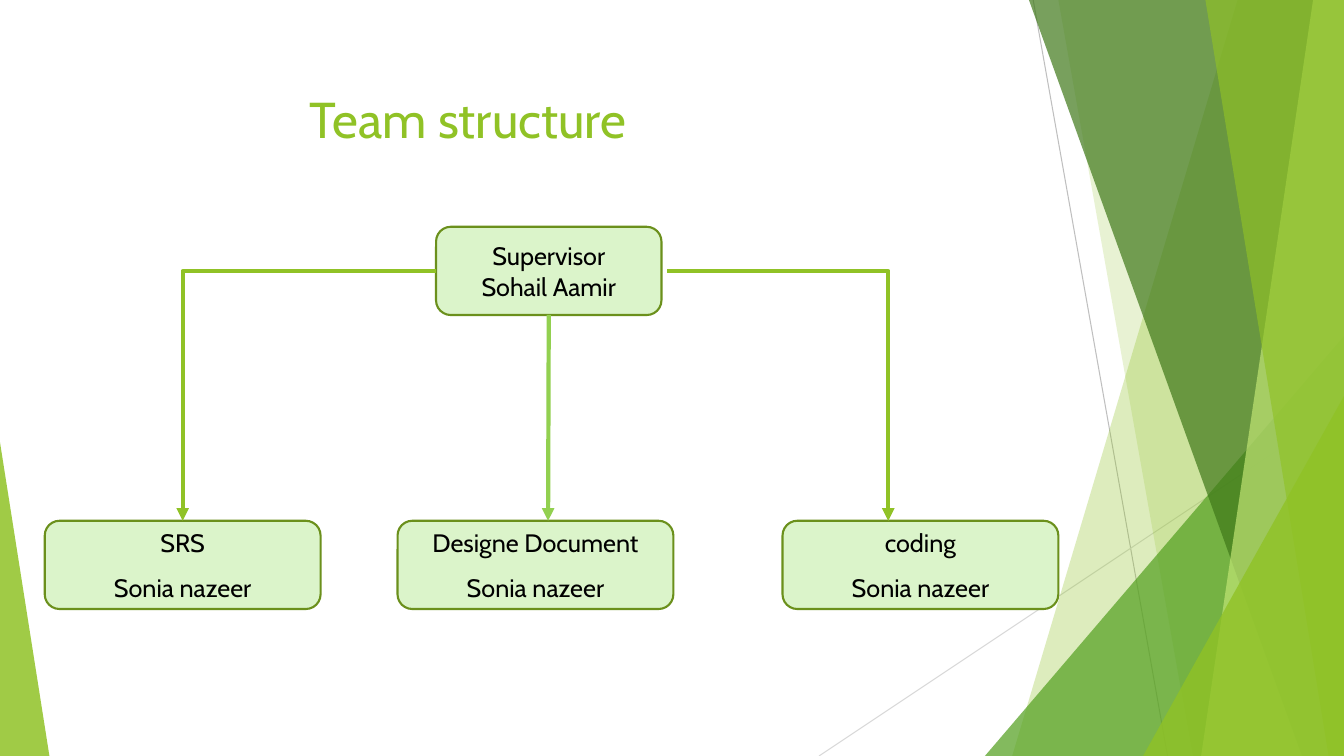
from dataclasses import dataclass

from lxml import etree
from pptx import Presentation
from pptx.dml.color import RGBColor
from pptx.enum import shapes, text
from pptx.oxml import ns
from pptx.util import Pt


@dataclass(frozen=True)
class Theme:
    font: str = "Cabin"
    title_size: float = 36
    label_size: float = 18
    lime: str = "90C226"
    green: str = "54A021"
    forest: str = "3F7819"
    pale_lime: str = "C0E474"
    bright: str = "92D050"
    box_fill: str = "DBF4CA"
    box_line: str = "6B901C"
    ink: str = "000000"
    ray: str = "BFBFBF"
    pale_ray: str = "D9D9D9"


@dataclass(frozen=True)
class Band:
    """Facet from the top edge to the bottom edge, closed at the right."""
    top_x: float
    bottom_x: float
    color: str
    opacity: int


@dataclass(frozen=True)
class Wedge:
    """Triangle standing on the bottom edge; apex is 0 (left) to 1 (right)."""
    left: float
    top: float
    width: float
    apex: float
    color: str
    opacity: int


@dataclass(frozen=True)
class Role:
    left: float
    top: float
    width: float
    lines: tuple[str, str]
    gap: float


@dataclass(frozen=True)
class Link:
    start: tuple[float, float]
    end: tuple[float, float]
    color: str
    weight: float
    arrow: bool = False
    bent: bool = False


THEME = Theme()
WIDTH, HEIGHT = 960, 540
BOX_HEIGHT = 63
ROLE_TOP, ROLE_WIDTH = 372, 197
LEAD_LEFT, LEAD_TOP, LEAD_WIDTH = 311.5, 162, 161
LEAD_MIDDLE = LEAD_TOP + BOX_HEIGHT / 2
LEAD_CENTER = LEAD_LEFT + LEAD_WIDTH / 2

RAYS = [
    Link((738, 0), (834, HEIGHT), THEME.ray, 0.75),
    Link((WIDTH, 290), (585, HEIGHT), THEME.pale_ray, 0.75),
]
FACETS = [
    Band(884, 723, THEME.lime, 30),
    Band(756, 852, THEME.lime, 20),
    Wedge(703.5, 240, 256.5, 1, THEME.green, 72),
    Band(735, 930, THEME.forest, 70),
    Band(938, 858, THEME.pale_lime, 70),
    Band(861, 949, THEME.lime, 65),
    Wedge(816.5, 283, 143.5, 1, THEME.lime, 80),
    Wedge(0, 316, 35.3, 0, THEME.lime, 85),
]
ROLES = [
    Role(LEAD_LEFT, LEAD_TOP, LEAD_WIDTH, ("Supervisor", "Sohail Aamir"), 0),
    Role(32, ROLE_TOP, ROLE_WIDTH, ("SRS", "Sonia nazeer"), 10),
    Role(284, ROLE_TOP, ROLE_WIDTH, ("Designe Document", "Sonia nazeer"), 10),
    Role(559, ROLE_TOP, ROLE_WIDTH, ("coding", "Sonia nazeer"), 10),
]
REPORTING = [
    Link((LEAD_LEFT, LEAD_MIDDLE), (130.5, ROLE_TOP), THEME.lime, 3, True, True),
    Link((476.5, LEAD_MIDDLE), (634.5, ROLE_TOP), THEME.lime, 3, True, True),
    Link((LEAD_CENTER, LEAD_TOP + BOX_HEIGHT), (391.5, ROLE_TOP), THEME.bright, 3, True),
]


def style_runs(paragraph, size: float, color: str) -> None:
    for run in paragraph.runs:
        run.font.name = THEME.font
        run.font.size = Pt(size)
        run.font.color.rgb = RGBColor.from_string(color)


def draw_link(slide, link: Link) -> None:
    kind = shapes.MSO_CONNECTOR.ELBOW if link.bent else shapes.MSO_CONNECTOR.STRAIGHT
    connector = slide.shapes.add_connector(
        kind, *(Pt(value) for value in link.start + link.end))
    connector.line.color.rgb = RGBColor.from_string(link.color)
    connector.line.width = Pt(link.weight)
    properties = connector._element.spPr
    if link.bent:  # a single corner
        properties.find(ns.qn("a:prstGeom")).set("prst", "bentConnector2")
    if link.arrow:
        etree.SubElement(properties.find(ns.qn("a:ln")), ns.qn("a:tailEnd"), type="triangle")
    etree.SubElement(properties, ns.qn("a:effectLst"))


def draw_facet(slide, facet: Band | Wedge) -> None:
    if isinstance(facet, Band):
        outline = slide.shapes.build_freeform(facet.top_x, 0, scale=Pt(1))
        outline.add_line_segments([(WIDTH, 0), (WIDTH, HEIGHT), (facet.bottom_x, HEIGHT)])
        piece = outline.convert_to_shape()
    else:
        piece = slide.shapes.add_shape(
            shapes.MSO_SHAPE.ISOSCELES_TRIANGLE, Pt(facet.left), Pt(facet.top),
            Pt(facet.width), Pt(HEIGHT - facet.top))
        piece.adjustments[0] = facet.apex
    piece.shadow.inherit = False
    piece.line.fill.background()
    piece.fill.solid()
    piece.fill.fore_color.rgb = RGBColor.from_string(facet.color)
    tint = piece._element.spPr.find(ns.qn("a:solidFill"))[0]
    etree.SubElement(tint, ns.qn("a:alpha"), val=str(facet.opacity * 1000))


def draw_role(slide, role: Role) -> None:
    box = slide.shapes.add_shape(
        shapes.MSO_SHAPE.ROUNDED_RECTANGLE, Pt(role.left), Pt(role.top),
        Pt(role.width), Pt(BOX_HEIGHT))
    box.shadow.inherit = False
    box.fill.solid()
    box.fill.fore_color.rgb = RGBColor.from_string(THEME.box_fill)
    box.line.color.rgb = RGBColor.from_string(THEME.box_line)
    box.line.width = Pt(1.5)
    frame = box.text_frame
    frame.word_wrap = True
    frame.vertical_anchor = text.MSO_ANCHOR.MIDDLE
    frame.text = "\n".join(role.lines)
    for index, line in enumerate(frame.paragraphs):
        line.alignment = text.PP_ALIGN.CENTER
        if index and role.gap:
            line.space_before = Pt(role.gap)
        style_runs(line, THEME.label_size, THEME.ink)


def place_title(slide, wording: str) -> None:
    title = slide.shapes.title
    title.left, title.top, title.width, title.height = Pt(44), Pt(59), Pt(677), Pt(59)
    frame = title.text_frame
    frame.text = wording
    frame.vertical_anchor = text.MSO_ANCHOR.TOP
    heading = frame.paragraphs[0]
    heading.alignment = text.PP_ALIGN.LEFT
    indent = heading._p.get_or_add_pPr()
    indent.set("marL", str(Pt(170)))
    indent.set("indent", "0")
    style_runs(heading, THEME.title_size, THEME.lime)


def main() -> None:
    deck = Presentation()
    deck.slide_width, deck.slide_height = Pt(WIDTH), Pt(HEIGHT)
    slide = deck.slides.add_slide(deck.slide_layouts[5])

    # Background rays and facets
    for ray in RAYS:
        draw_link(slide, ray)
    for facet in FACETS:
        draw_facet(slide, facet)

    # Title and team chart
    place_title(slide, "Team structure")
    for role in ROLES:
        draw_role(slide, role)
    for link in REPORTING:
        draw_link(slide, link)

    deck.save("out.pptx")


if __name__ == "__main__":
    main()
